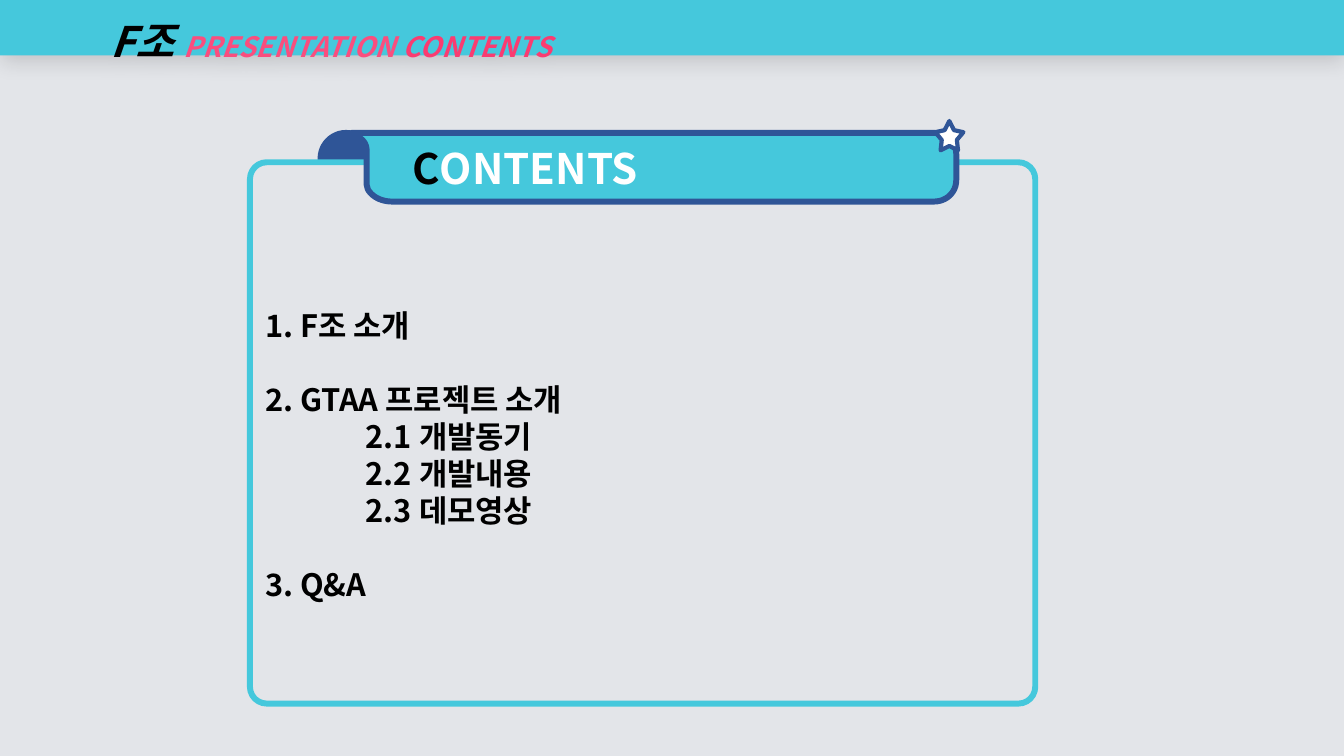
from lxml.etree import SubElement
from pptx import Presentation
from pptx.dml.color import RGBColor
from pptx.enum.shapes import MSO_SHAPE
from pptx.enum.text import MSO_ANCHOR, MSO_AUTO_SIZE, PP_ALIGN
from pptx.oxml.ns import qn
from pptx.util import Cm, Pt

COLORS = {
    "background": "E3E5E9", "cyan": "45C8DC", "navy": "2F5597",
    "black": "000000", "white": "FFFFFF", "pink": "FA4E7E", "rose": "FA3C71",
}
FONT = "Noto Sans CJK KR"
BORDER = 4.25
LINE_PITCH = Pt(26.4)

# Text, level, starts a new section
AGENDA = [
    ("1. F조 소개", 0, False),
    ("2. GTAA 프로젝트 소개", 0, True),
    ("2.1 개발동기", 1, False),
    ("2.2 개발내용", 1, False),
    ("2.3 데모영상", 1, False),
    ("3. Q&A", 0, True),
]

# Outlines in cm: one point is a straight line, three points are a curve
FOLD = [
    [(0.64, 0)], [(0.99, 0), (1.27, 0.3), (1.27, 0.64)], [(1.27, 2.49)],
    [(0, 2.49)], [(0, 0.64)], [(0, 0.3), (0.28, 0), (0.64, 0)],
]
RIBBON = [
    [(0, 0)], [(14.68, 0)], [(14.99, 0), (15.24, 0.25), (15.24, 0.53)],
    [(15.24, 1.19)], [(15.24, 1.5), (14.99, 1.73), (14.68, 1.73)],
    [(1.02, 1.73)], [(0.74, 1.73), (0.51, 1.6), (0.41, 1.42)],
    [(0.38, 1.3)], [(0.38, 0.43)], [(0.38, 0.28), (0.28, 0.13), (0.1, 0.08)],
    [(0, 0.05)],
]


def color(name):
    return RGBColor.from_string(COLORS[name])


def paint(shape, fill, line=None, width=BORDER):
    shape.shadow.inherit = False
    shape.fill.solid()
    shape.fill.fore_color.rgb = color(fill)
    if line:
        shape.line.color.rgb = color(line)
        shape.line.width = Pt(width)
    else:
        shape.line.fill.background()


def place(shape, box):
    shape.left, shape.top, shape.width, shape.height = (Cm(v) for v in box)


def prepare_frame(shape, anchor, left=0.13, top=0.13):
    frame = shape.text_frame
    frame.word_wrap = True
    frame.auto_size = MSO_AUTO_SIZE.NONE
    frame.vertical_anchor = anchor
    frame.margin_left, frame.margin_top = Cm(left), Cm(top)
    frame.margin_right = frame.margin_bottom = Cm(0.13)
    return frame


def add_span(para, text, size, tint, italic=False):
    span = para.add_run()
    span.text = text
    font = span.font
    font.size, font.bold, font.italic = Pt(size), True, italic
    font.color.rgb = color(tint)
    font.name = FONT
    SubElement(font._element, qn("a:ea"), typeface=FONT)


def add_outline(page, left, top, segments, fill):
    points = []
    for segment in segments:
        if len(segment) == 1:
            points += segment
            continue
        a, (b, c, d) = points[-1], segment
        for step in range(1, 13):
            t = step / 12
            u = 1 - t
            weights = (u ** 3, 3 * u * u * t, 3 * u * t * t, t ** 3)
            points.append(tuple(sum(w * p[axis] for w, p in zip(weights, (a, b, c, d)))
                                for axis in (0, 1)))
    corners = [(Cm(left + x), Cm(top + y)) for x, y in points]
    builder = page.shapes.build_freeform(*corners[0])
    builder.add_line_segments(corners[1:], close=True)
    paint(builder.convert_to_shape(), fill, "navy")


def add_header(page, box):
    bar = page.shapes.add_shape(MSO_SHAPE.RECTANGLE, *(Cm(v) for v in box))
    paint(bar, "cyan")
    # Soft shadow under the bar
    effects = bar._element.spPr.find(qn("a:effectLst"))
    shadow = SubElement(effects, qn("a:outerShdw"), blurRad=str(Pt(15)),
                        dist=str(Pt(3)), dir="5400000", rotWithShape="0")
    tone = SubElement(shadow, qn("a:srgbClr"), val=COLORS["black"])
    SubElement(tone, qn("a:alpha"), val="15000")
    # Caption
    para = prepare_frame(bar, MSO_ANCHOR.MIDDLE, left=2.79).paragraphs[0]
    para.alignment = PP_ALIGN.LEFT
    para.line_spacing = 1.5
    add_span(para, "F조 ", 30, "black", True)
    add_span(para, "PRESENTATION ", 20, "pink", True)
    add_span(para, "CONTENTS", 20, "rose", True)


def add_agenda(page, box):
    left, top, width, height = box
    panel = page.shapes.add_shape(MSO_SHAPE.ROUNDED_RECTANGLE, *(Cm(v) for v in box))
    panel.adjustments[0] = 0.031
    paint(panel, "background", "cyan")
    # Numbered list
    body = page.placeholders[1]
    place(body, (left + 0.25, top + 3.65, width - 0.5, height - 6))
    page.shapes._spTree.append(body._element)
    frame = prepare_frame(body, MSO_ANCHOR.TOP, top=0)
    for index, (text, level, new_section) in enumerate(AGENDA):
        para = frame.paragraphs[0] if index == 0 else frame.add_paragraph()
        para.level = level
        properties = para._p.get_or_add_pPr()
        properties.set("marL", str(Cm(2.54) * level))
        properties.set("indent", "0")
        SubElement(properties, qn("a:buNone"))
        para.line_spacing = LINE_PITCH
        para.space_before = LINE_PITCH if new_section else Pt(0)
        add_span(para, text, 22, "black")


def add_banner(page, box):
    left, top, width, height = box
    add_outline(page, left, top, RIBBON, "cyan")
    # Title
    title = page.shapes.title
    place(title, (left + 0.13, top + 0.1, width - 0.25, height - 0.2))
    page.shapes._spTree.append(title._element)
    para = prepare_frame(title, MSO_ANCHOR.MIDDLE, left=1.4).paragraphs[0]
    para.alignment = PP_ALIGN.LEFT
    add_span(para, "C", 30, "black")
    add_span(para, "ONTENTS", 30, "white")
    # Star on the corner
    star = page.shapes.add_shape(MSO_SHAPE.STAR_5_POINT, Cm(left + width - 0.53),
                                 Cm(top - 0.3), Cm(0.71), Cm(0.74))
    star.adjustments[0] = 0.269
    paint(star, "white", "navy", 3)


def main():
    deck = Presentation()
    deck.slide_width, deck.slide_height = Cm(33.87), Cm(19.05)
    page = deck.slides.add_slide(deck.slide_layouts[1])
    page.background.fill.solid()
    page.background.fill.fore_color.rgb = color("background")
    add_outline(page, 8.08, 3.35, FOLD, "navy")
    add_agenda(page, (6.3, 4.09, 19.79, 13.64))
    add_banner(page, (8.86, 3.35, 15.24, 1.73))
    add_header(page, (0, 0, 33.87, 1.4))
    deck.save("out.pptx")


if __name__ == "__main__":
    main()
